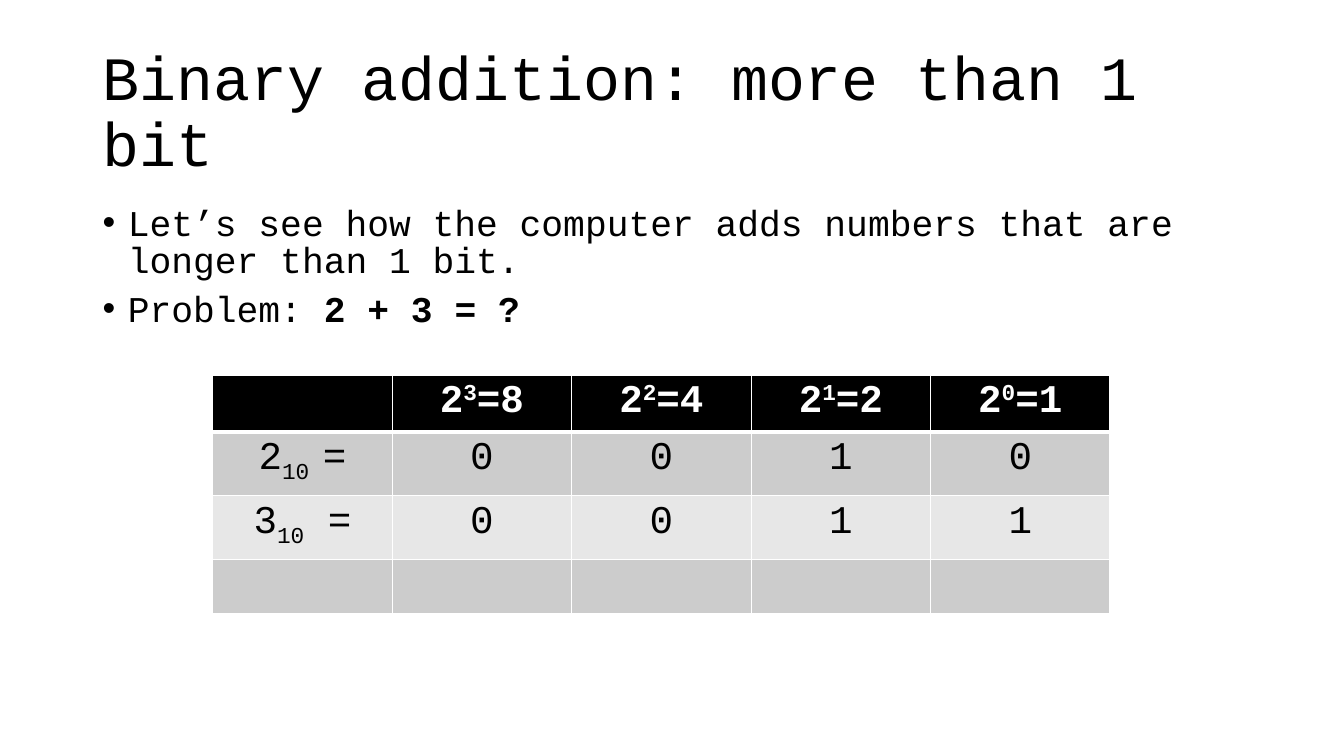
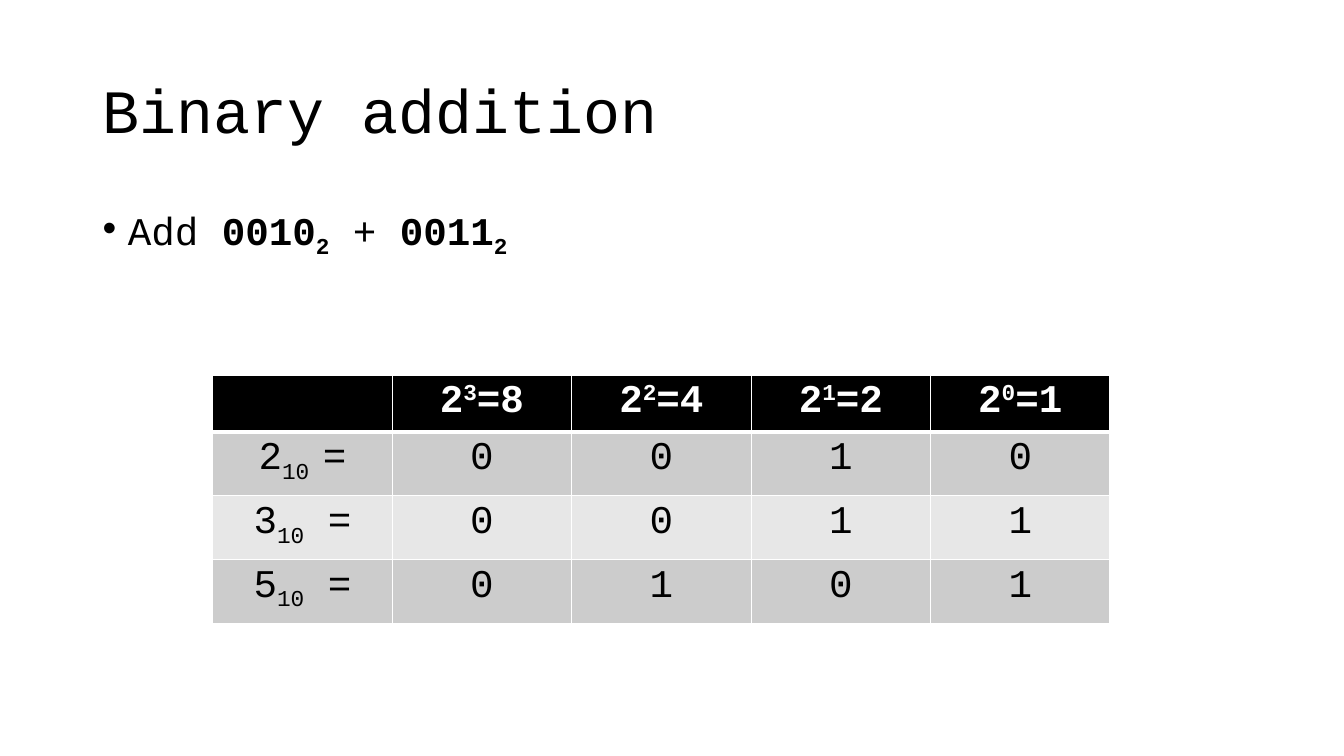
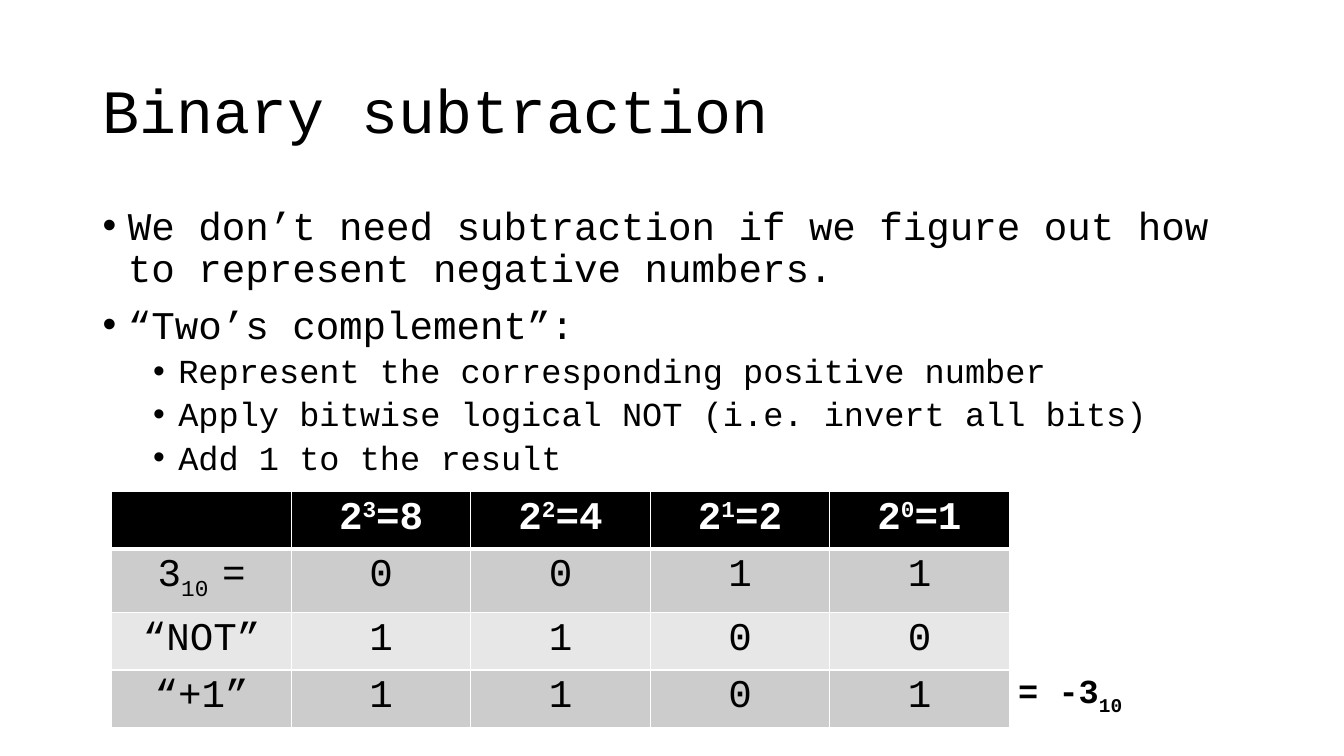
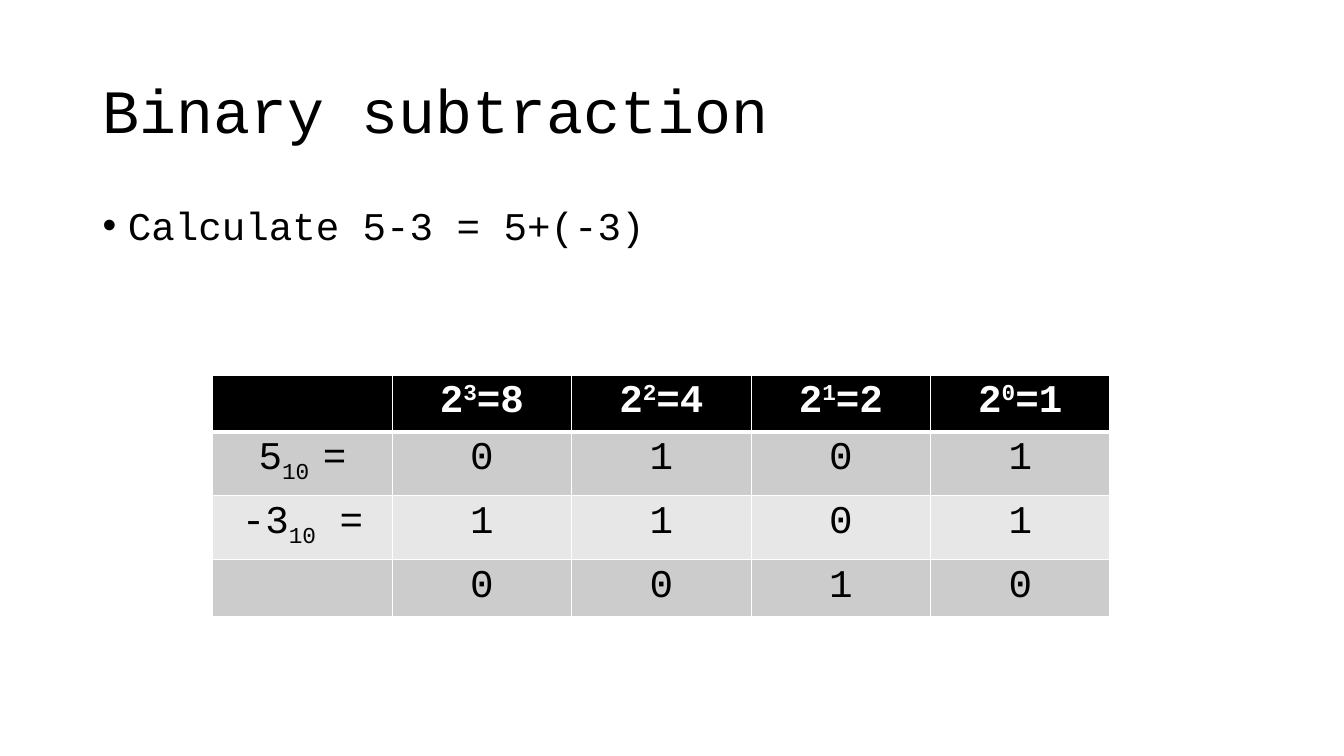
from dataclasses import dataclass
from lxml.etree import SubElement as Sub
from pptx import Presentation
from pptx.dml.color import RGBColor as Rgb
from pptx.enum.text import MSO_ANCHOR as Anchor, PP_ALIGN as Align
from pptx.oxml.ns import qn
from pptx.util import Pt

SCALE = 9144


def px(num):
    return num * SCALE


@dataclass(frozen=True)
class Theme:
    face: str = "Courier New"
    dot: str = "Arial"
    ink: str = "000000"
    paper: str = "FFFFFF"
    bands: tuple = ("CCCCCC", "E7E7E7")
    head: float = 44
    body: float = 28
    tight: float = 25.9
    small: float = 24
    thin: float = 1
    thick: float = 3


class Deck:
    MARKS = {"*": ("bold", True), "^": ("base", 30000), "_": ("base", -25000)}

    def __init__(self, theme):
        self.theme = theme
        self.show = Presentation()
        self.show.slide_width, self.show.slide_height = px(1333), px(750)
        self.slide = None

    def page(self, title):
        self.slide = self.show.slides.add_slide(self.show.slide_layouts[6])
        frame = self.box(92, 40, 1150, 145)
        frame.vertical_anchor = Anchor.MIDDLE
        self.text(frame.paragraphs[0], title, self.theme.head, form={"line_spacing": 0.9})

    def box(self, left, top, width, height):
        shape = self.slide.shapes.add_textbox(px(left), px(top), px(width), px(height))
        shape.text_frame.word_wrap = True
        return shape.text_frame

    def text(self, para, words, size, color=None, bold=False, form=None):
        for name, value in (form or {}).items():
            setattr(para, name, value)
        for part in filter(None, words.split("|")):
            look = {"bold": bold, "base": 0}
            while part[0] in self.MARKS:
                key, value = self.MARKS[part[0]]
                look[key] = value
                part = part[1:]
            run = para.add_run()
            run.text = part
            style = {"name": self.theme.face, "size": Pt(size), "bold": look["bold"]}
            for name, value in style.items():
                setattr(run.font, name, value)
            run.font.color.rgb = Rgb.from_string(color or self.theme.ink)
            if look["base"]:
                run._r.get_or_add_rPr().set("baseline", str(look["base"]))

    def points(self, items, height, size=None, line=0.9, gap=10):
        frame = self.box(92, 200, 1150, height)
        for spot, item in enumerate(items):
            level, words = item if isinstance(item, tuple) else (0, item)
            para = frame.add_paragraph() if spot else frame.paragraphs[0]
            form = {"level": level, "line_spacing": line, "space_before": Pt(5 if level else gap)}
            self.text(para, words, self.theme.small if level else size or self.theme.body, form=form)
            props = para._p.get_or_add_pPr()
            props.set("marL", str(px(25 + 50 * level)))
            props.set("indent", str(px(-25)))
            Sub(props, qn("a:buFont"), typeface=self.theme.dot)
            Sub(props, qn("a:buChar"), char="•")

    def note(self, words, left, top, width, height):
        para = self.box(left, top, width, height).paragraphs[0]
        self.text(para, words, self.theme.small, bold=True)

    def edge(self, cell, side, width):
        line = Sub(cell._tc.get_or_add_tcPr(), qn("a:ln" + side), w=str(Pt(width)))
        Sub(Sub(line, qn("a:solidFill")), qn("a:srgbClr"), val=self.theme.paper)

    def grid(self, rows, left=211, top=372):
        look = self.theme
        head = [""] + [f"2|^{power}|={2 ** power}" for power in (3, 2, 1, 0)]
        rows = [head] + [[name, *bits] for name, bits in rows]
        wide, high = 178, 54
        table = self.slide.shapes.add_table(
            len(rows), len(head), px(left), px(top), px(wide * len(head)), px(high * len(rows))
        ).table
        table.horz_banding = False
        for y, row in enumerate(rows):
            first = y == 0
            fill = look.ink if first else look.bands[(y - 1) % 2]
            color = look.paper if first else look.ink
            thick = {0: "B", 1: "T"}.get(y)
            for x, words in enumerate(row):
                cell = table.cell(y, x)
                for side in "LRTB":
                    self.edge(cell, side, look.thick if side == thick else look.thin)
                cell.fill.solid()
                cell.fill.fore_color.rgb = Rgb.from_string(fill)
                para = cell.text_frame.paragraphs[0]
                self.text(para, words, look.body, color, first, {"alignment": Align.CENTER})


def main():
    theme = Theme()
    deck = Deck(theme)
    terms = [("2|_10 |=", "0010"), ("3|_10| =", "0011")]

    deck.page("Binary addition: more than 1 bit")
    deck.points(
        ["Let’s see how the computer adds numbers that are longer than 1 bit.",
         "Problem: |*2 + 3 = ?"],
        134, theme.tight, 0.85, 8.5,
    )
    deck.grid(terms + [("", [""] * 4)])

    deck.page("Binary addition")
    deck.grid(terms + [("5|_10| =", "0101")])
    deck.points(["Add |*0010|*_2| + |*0011|*_2"], 476)

    deck.page("Binary subtraction")
    deck.points(
        ["We don’t need subtraction if we figure out how to represent negative numbers.",
         "“Two’s complement”:",
         (1, "Represent the corresponding positive number"),
         (1, "Apply bitwise logical NOT (i.e. invert all bits)"),
         (1, "Add 1 to the result")],
        291,
    )
    deck.grid([("3|_10 |=", "0011"), ("“NOT”", "1100"), ("“+1”", "1101")], 111, 488)
    deck.note("= -3|_10", 1000, 660, 125, 50)

    deck.page("Binary subtraction")
    deck.grid([("5|_10 |=", "0101"), ("-3|_10| =", "1101"), ("", "0010")])
    deck.points(["Calculate 5-3 = 5+(-3)"], 135)

    deck.show.save("out.pptx")


if __name__ == "__main__":
    main()
